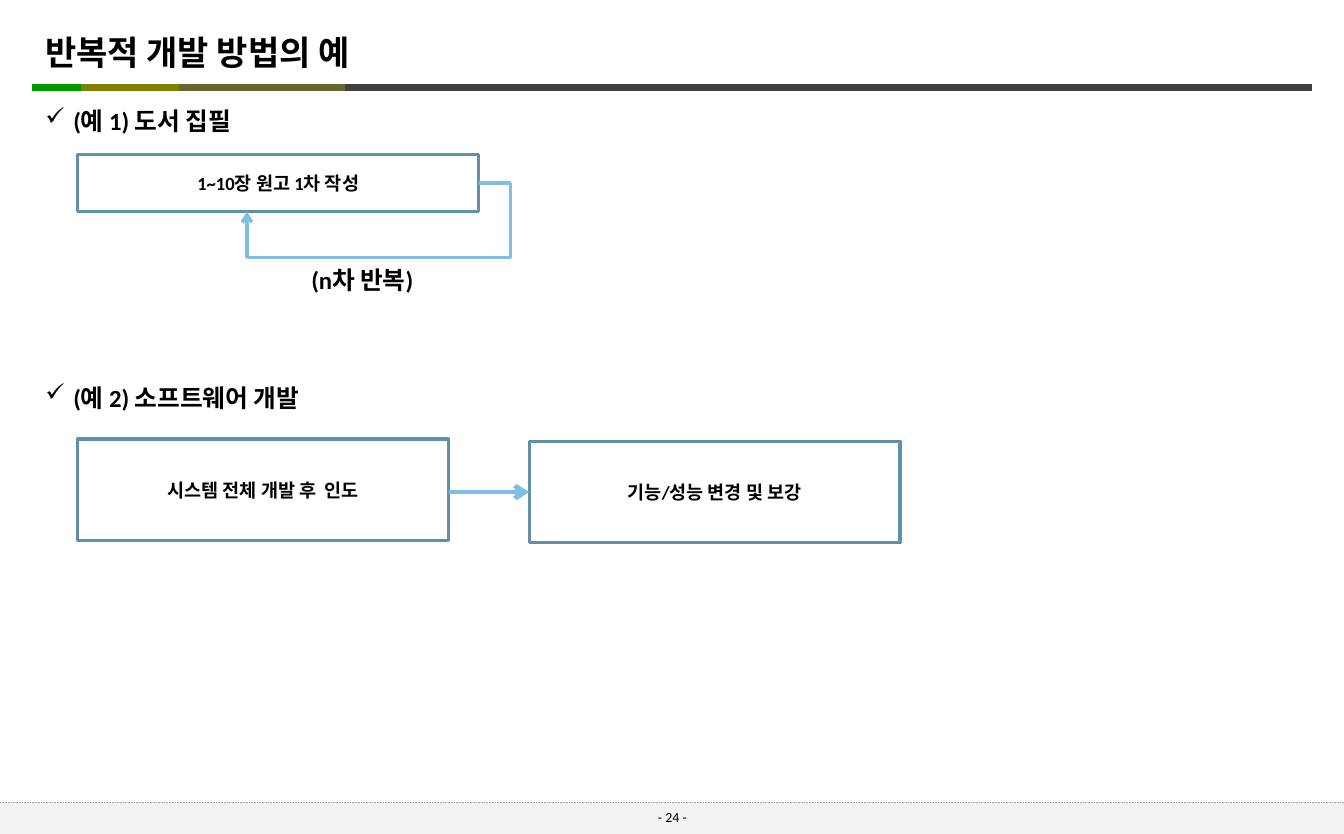
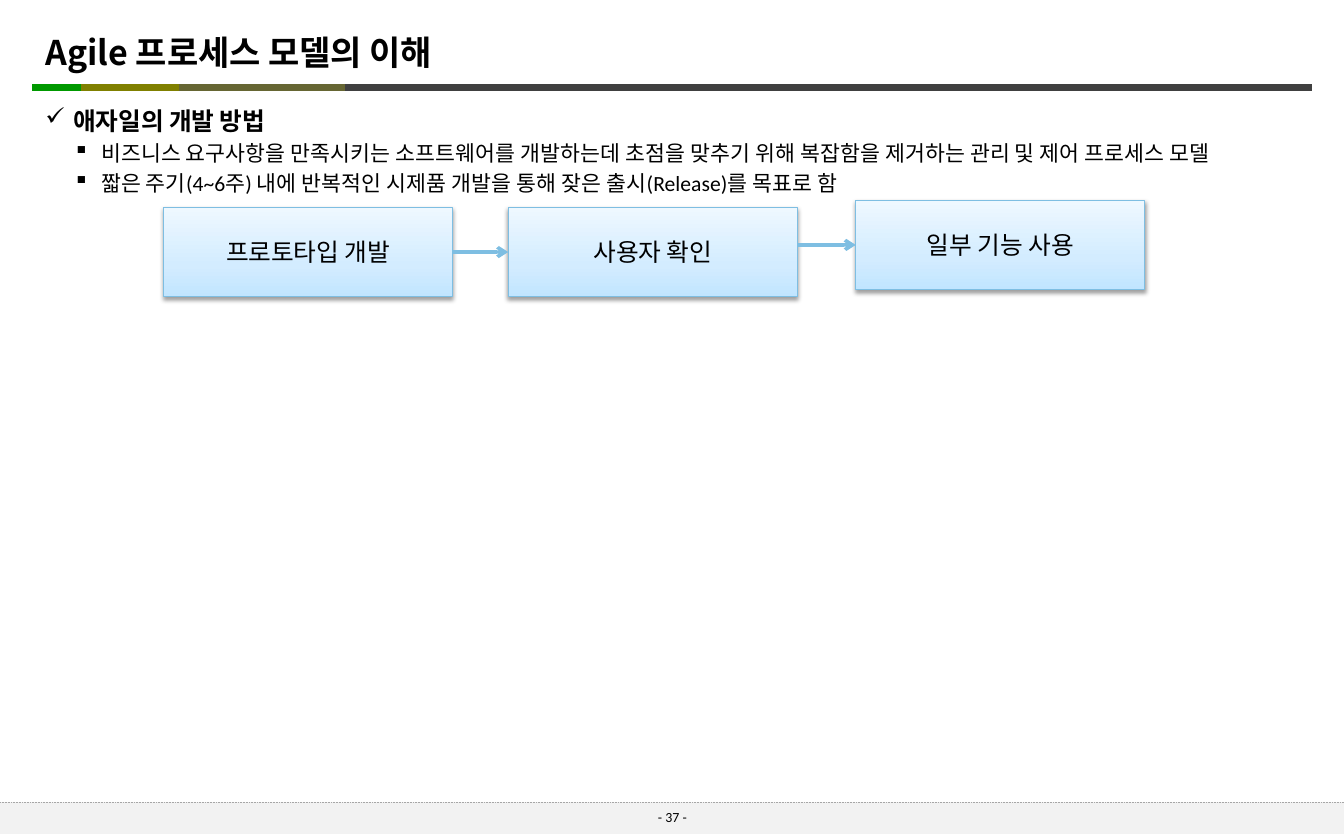
from copy import deepcopy
from itertools import pairwise

from lxml.etree import SubElement as Sub
from pptx import Presentation
from pptx.dml.color import RGBColor as Rgb
from pptx.enum.dml import MSO_LINE as Dash
from pptx.enum.shapes import MSO_CONNECTOR as Conn, MSO_SHAPE as Kind
from pptx.enum.text import MSO_ANCHOR as Anchor, PP_ALIGN as Align
from pptx.oxml.ns import qn
from pptx.util import Pt

WIDE, HIGH = 870, 540
BODY, HEAD = "Calibri", "Noto Sans CJK KR"
INK = {
    "text": "000000", "dark": "404040", "green": "009900", "olive": "808000",
    "moss": "666633", "foot": "F2F2F2", "dots": "A6A6A6", "frame": "6190A9",
    "arrow": "7EBEE2", "low": "C1E5FF", "mid": "D3ECFF", "high": "EEF8FF",
}
MARKS = ["✓", "▪"]


def color(name):
    return Rgb.from_string(INK[name])


# Text
def add_run(para, text, size, bold=False, font=BODY):
    run = para.add_run()
    run.text = text
    run.font.name = font
    run.font.size = Pt(size)
    run.font.bold = bold
    run.font.color.rgb = color("text")
    Sub(run.font._element, qn("a:ea"), typeface=font)


def add_box(slide, x, y, w, h, inset=None):
    frame = slide.shapes.add_textbox(Pt(x), Pt(y), Pt(w), Pt(h)).text_frame
    frame.word_wrap = True
    if inset is not None:
        frame.margin_left = frame.margin_right = Pt(inset)
        frame.margin_top = frame.margin_bottom = Pt(inset)
    return frame


def add_mark(para, level):
    props = para._p.get_or_add_pPr()
    props.set("marL", str(Pt(18 * (level + 1))))
    props.set("indent", str(-Pt(18)))
    tint = Sub(props, qn("a:buClr"))
    Sub(tint, qn("a:srgbClr"), val=INK["text"])
    Sub(props, qn("a:buChar"), char=MARKS[level])


def add_list(slide, y, items):
    frame = add_box(slide, 26.6, y, 811, 24 * len(items), 2.9)
    for spot, (level, text) in enumerate(items):
        para = frame.add_paragraph() if spot else frame.paragraphs[0]
        size = 14 if level else 16
        add_mark(para, level)
        if spot:
            para.space_before = Pt(size * 0.2)
        add_run(para, text, size, bold=level == 0)


# Lines and boxes
def add_line(slide, start, end, ink, width, arrow=False, dash=None):
    ends = [Pt(v) for v in (*start, *end)]
    conn = slide.shapes.add_connector(Conn.STRAIGHT, *ends)
    conn.line.color.rgb = color(ink)
    conn.line.width = Pt(width)
    if dash:
        conn.line.dash_style = dash
    props = conn._element.spPr
    if arrow:
        Sub(props.find(qn("a:ln")), qn("a:tailEnd"), type="arrow")
    Sub(props, qn("a:effectLst"))


def add_rect(slide, x, y, w, h, fill=None, edge=None, width=2):
    rect = slide.shapes.add_shape(Kind.RECTANGLE, Pt(x), Pt(y), Pt(w), Pt(h))
    rect.shadow.inherit = False
    if fill:
        rect.fill.solid()
        rect.fill.fore_color.rgb = color(fill)
    else:
        rect.fill.background()
    if edge:
        rect.line.color.rgb = color(edge)
        rect.line.width = Pt(width)
    else:
        rect.line.fill.background()
    return rect


def add_label(rect, text, size, bold=False):
    frame = rect.text_frame
    frame.word_wrap = True
    frame.vertical_anchor = Anchor.MIDDLE
    para = frame.paragraphs[0]
    para.alignment = Align.CENTER
    add_run(para, text, size, bold)


def add_frame(slide, x, y, w, h, text):
    add_label(add_rect(slide, x, y, w, h, edge="frame"), text, 12, True)


def add_card(slide, x, y, w, h, text):
    card = add_rect(slide, x, y, w, h, edge="arrow", width=0.75)
    # Three-stop fill, pale at the top
    card.fill.gradient()
    card.fill.gradient_angle = 90
    props = card._element.spPr
    stops = props.find(".//" + qn("a:gsLst"))
    stops.insert(1, deepcopy(stops[0]))
    shades = [(0, "low"), (0.35, "mid"), (1, "high")]
    for stop, (place, ink) in zip(card.fill.gradient_stops, shades):
        stop.position = place
        stop.color.rgb = color(ink)
    # Soft shadow below
    glow = Sub(props.find(qn("a:effectLst")), qn("a:outerShdw"),
               blurRad=str(Pt(3.1)), dist=str(Pt(1.6)), dir="5400000",
               rotWithShape="0")
    tint = Sub(glow, qn("a:srgbClr"), val=INK["text"])
    Sub(tint, qn("a:alpha"), val="38000")
    add_label(card, text, 16)


# Shared page: title, band and footer
def add_page(deck, title, number):
    slide = deck.slides.add_slide(deck.slide_layouts[6])
    bands = [(214.6, 849, "dark"), (21, 78.5, "green"),
             (52.6, 119.5, "olive"), (116, 223.2, "moss")]
    for left, right, ink in bands:
        add_line(slide, (left, 56.7), (right, 56.7), ink, 5)
    add_rect(slide, 0, 519.4, WIDE, HIGH - 519.4, fill="foot")
    para = add_box(slide, 369.4, 519.8, 131.8, 18.7).paragraphs[0]
    para.alignment = Align.CENTER
    para.line_spacing = 1.05
    add_run(para, f"- {number} -", 9)
    add_line(slide, (0, 519.6), (WIDE, 519.6), "dots", 0.5, dash=Dash.ROUND_DOT)
    frame = add_box(slide, 26.6, 10.8, 720, 45.4, 2.9)
    frame.vertical_anchor = Anchor.MIDDLE
    add_run(frame.paragraphs[0], title, 22, True, HEAD)
    return slide


def add_loops(deck):
    slide = add_page(deck, "반복적 개발 방법의 예", 24)
    # Example 1: one box that feeds back into itself
    add_list(slide, 65.5, [(0, "(예 1) 도서 집필")])
    add_frame(slide, 50.4, 100, 259.4, 36.9, "1~10장 원고 1차 작성")
    turns = [(310, 118.6), (330.5, 118.6), (330.5, 166.8),
             (159.9, 166.8), (159.9, 137)]
    for start, end in pairwise(turns):
        add_line(slide, start, end, "arrow", 2.25, arrow=end == turns[-1])
    note = add_box(slide, 194.4, 167.8, 101.5, 34.6)
    add_run(note.paragraphs[0], "(n차 반복)", 16, True)
    # Example 2: two steps
    add_list(slide, 244.7, [(0, "(예 2) 소프트웨어 개발")])
    add_frame(slide, 50.4, 284.3, 240, 65.7, "시스템 전체 개발 후  인도")
    add_frame(slide, 342.6, 285.7, 240, 65.7, "기능/성능 변경 및 보강")
    add_line(slide, (290.4, 318.6), (342.6, 318.6), "arrow", 3, arrow=True)


def add_agile(deck):
    slide = add_page(deck, "Agile 프로세스 모델의 이해", 37)
    add_list(slide, 65.5, [
        (0, "애자일의 개발 방법"),
        (1, "비즈니스 요구사항을 만족시키는 소프트웨어를 개발하는데 초점을 "
            "맞추기 위해 복잡함을 제거하는 관리 및 제어 프로세스 모델"),
        (1, "짧은 주기(4~6주) 내에 반복적인 시제품 개발을 통해 "
            "잦은 출시(Release)를 목표로 함"),
    ])
    # Steps joined by arrows
    w, h = 187.2, 57.6
    steps = [(105.8, 134.4, "프로토타입 개발"), (329, 134.4, "사용자 확인"),
             (554, 129.8, "일부 기능 사용")]
    for x, y, text in steps:
        add_card(slide, x, y, w, h, text)
    for (x, _, _), (goal, y, _) in pairwise(steps):
        mid = y + h / 2
        add_line(slide, (x + w, mid), (goal, mid), "arrow", 2.25, arrow=True)


def main():
    deck = Presentation()
    deck.slide_width, deck.slide_height = Pt(WIDE), Pt(HIGH)
    add_loops(deck)
    add_agile(deck)
    deck.save("out.pptx")


if __name__ == "__main__":
    main()
